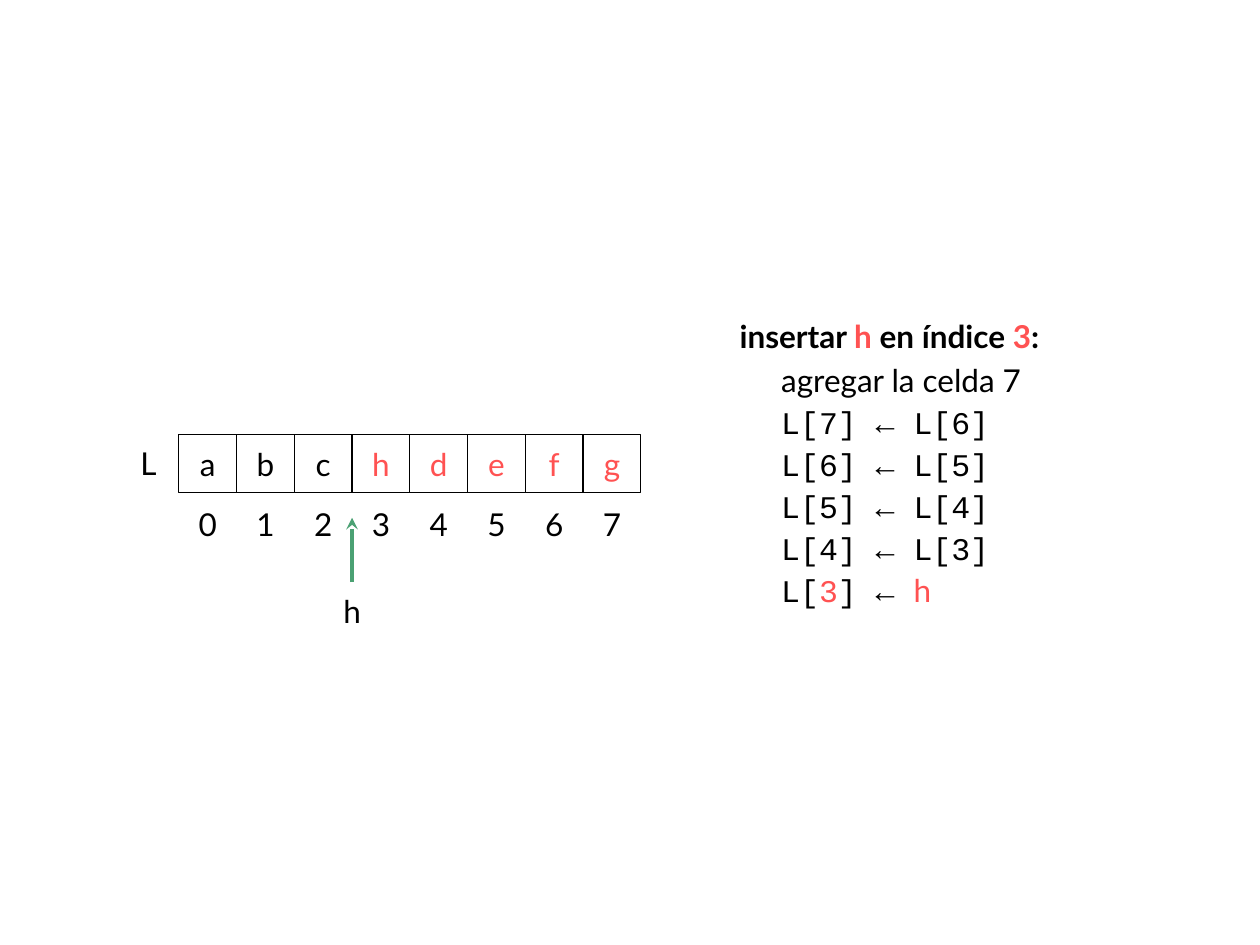
from lxml.etree import SubElement
from pptx import Presentation
from pptx.dml.color import RGBColor
from pptx.enum.shapes import MSO_CONNECTOR as CONN, MSO_SHAPE as SHAPE
from pptx.enum.text import MSO_ANCHOR as ANCHOR, MSO_AUTO_SIZE as AUTO, PP_ALIGN as ALIGN
from pptx.oxml.ns import qn
from pptx.util import Pt

BLACK, WHITE, RED, GREEN = "000000", "FFFFFF", "FF5252", "4BA173"
SANS, MONO = "Lato", "Courier New"
LEFT, TOP, CELL = 102.2, 248.4, 33
INDEX = 3


def rgb(value):
    return RGBColor.from_string(value)


def add_run(p, text, color=BLACK, font=SANS, bold=False):
    r = p.add_run()
    r.text = text
    r.font.name = font
    r.font.size = Pt(18)
    r.font.bold = bold
    r.font.color.rgb = rgb(color)


def set_frame(tf, anchor):
    tf.word_wrap = True
    tf.auto_size = AUTO.NONE
    tf.vertical_anchor = anchor
    tf.margin_left = tf.margin_right = tf.margin_top = tf.margin_bottom = Pt(7.2)


def place(sp, x, y, w, h):
    sp.left, sp.top, sp.width, sp.height = Pt(x), Pt(y), Pt(w), Pt(h)
    set_frame(sp.text_frame, ANCHOR.TOP)


def add_box(s, x, y, w, h, text, color=BLACK, border=True, align=ALIGN.CENTER):
    sp = s.shapes.add_shape(SHAPE.RECTANGLE, Pt(x), Pt(y), Pt(w), Pt(h))
    sp.shadow.inherit = False
    sp.fill.solid()
    sp.fill.fore_color.rgb = rgb(WHITE)
    if border:
        sp.line.color.rgb = rgb(BLACK)
        sp.line.width = Pt(0.75)
    else:
        sp.line.fill.background()
    set_frame(sp.text_frame, ANCHOR.MIDDLE)
    p = sp.text_frame.paragraphs[0]
    p.alignment = align
    add_run(p, text, color)


def add_label(s, x, y, w, h, text):
    sp = s.shapes.add_textbox(Pt(x), Pt(y), Pt(w), Pt(h))
    set_frame(sp.text_frame, ANCHOR.TOP)
    p = sp.text_frame.paragraphs[0]
    p.alignment = ALIGN.CENTER
    add_run(p, text)


def add_arrow(s, x, y1, y2):
    c = s.shapes.add_connector(CONN.STRAIGHT, Pt(x), Pt(y1), Pt(x), Pt(y2))
    c.line.color.rgb = rgb(GREEN)
    c.line.width = Pt(2.25)
    SubElement(c.line._get_or_add_ln(), qn("a:tailEnd"), type="stealth")
    SubElement(c._element.spPr, qn("a:effectLst"))


def add_title(s):
    sp = s.shapes.title
    place(sp, 415.4, 174.2, 202.3, 36.7)
    p = sp.text_frame.paragraphs[0]
    p.alignment = ALIGN.LEFT
    for text, color in [("insertar ", BLACK), ("h", RED), (" en índice ", BLACK),
                        (str(INDEX), RED), (":", BLACK)]:
        add_run(p, text, color, bold=True)


def add_steps(s):
    sp = s.placeholders[1]
    place(sp, 439.2, 196.7, 178.6, 158.4)
    tf = sp.text_frame
    lines = [[("agregar la celda 7", BLACK, SANS)]]
    lines += [[(f"L[{i}] ← L[{i - 1}]", BLACK, MONO)] for i in range(7, INDEX, -1)]
    lines.append([("L[", BLACK, MONO), (str(INDEX), RED, MONO),
                  ("] ← ", BLACK, MONO), ("h", RED, SANS)])
    for n, line in enumerate(lines):
        p = tf.add_paragraph() if n else tf.paragraphs[0]
        pPr = p._p.get_or_add_pPr()
        pPr.set("marL", "0")
        pPr.set("indent", "0")
        SubElement(pPr, qn("a:buNone"))
        p.line_spacing = Pt(24)
        p.space_before = Pt(0)
        for text, color, font in line:
            add_run(p, text, color, font)


def add_array(s):
    add_box(s, 45.4, 253.4, 51.1, 22.3, "L", border=False, align=ALIGN.RIGHT)
    for i, letter in enumerate("abchdefg"):
        x = LEFT + i * CELL
        add_box(s, x, TOP, CELL, CELL, letter, RED if i >= INDEX else BLACK)
        add_label(s, x, TOP + CELL, CELL, 29.5, str(i))
    x = LEFT + INDEX * CELL
    add_box(s, x - CELL / 2, 332.6, CELL, CELL, "h", border=False)
    add_arrow(s, x, 332.6, 295.9)


def main():
    prs = Presentation()
    prs.slide_width, prs.slide_height = Pt(720), Pt(540)
    s = prs.slides.add_slide(prs.slide_layouts[1])
    add_title(s)
    add_steps(s)
    add_array(s)
    prs.save("out.pptx")


if __name__ == "__main__":
    main()
